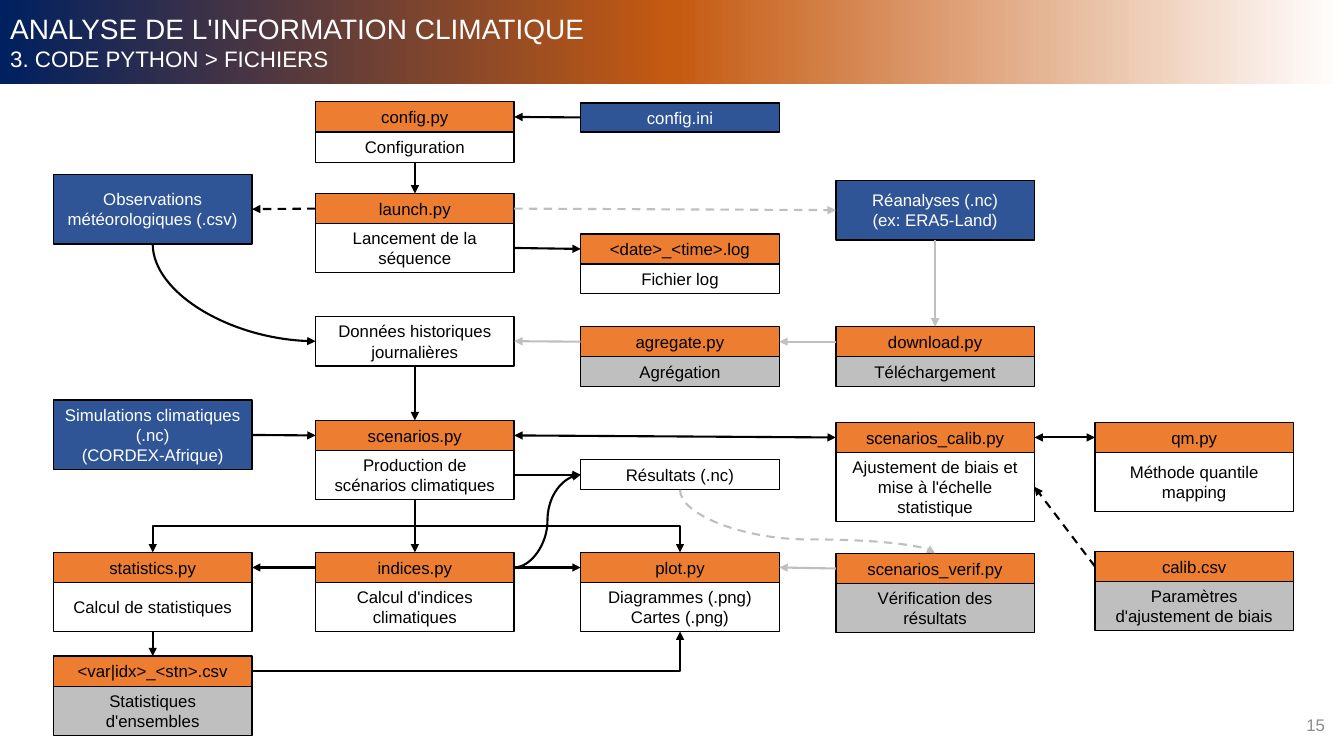
from copy import deepcopy
from dataclasses import dataclass
from typing import NamedTuple

from lxml.etree import SubElement
from pptx import Presentation
from pptx.dml.color import RGBColor
from pptx.enum.dml import MSO_LINE_DASH_STYLE as Dash
from pptx.enum.shapes import MSO_CONNECTOR as Connector, MSO_SHAPE as Shape
from pptx.enum.text import MSO_ANCHOR as Anchor, MSO_AUTO_SIZE as AutoSize, PP_ALIGN as Align
from pptx.oxml.ns import qn
from pptx.util import Inches, Pt


@dataclass(frozen=True)
class Theme:
    font: str = "Arial"
    title_size: int = 20
    subtitle_size: int = 16
    text_size: int = 12
    navy: str = "002060"
    rust: str = "C55A11"
    orange: str = "ED7D31"
    blue: str = "2F5597"
    grey: str = "BFBFBF"
    white: str = "FFFFFF"
    black: str = "000000"
    number: str = "8C8C8C"


THEME = Theme()

# Grid: rows of 0.1 inch, five columns of equal width (left edges in rows)
UNIT = Inches(0.1)
COLUMN_LEFTS = (5.3, 31.3, 57.6, 82.9, 108.6)
COLUMN_WIDTH = 19.7
HEADER_ROWS, HEADER_STEP = 3, 2.95
TOP, LEFT, BOTTOM, RIGHT = range(4)


def grid(rows: float) -> int:
    return round(rows * UNIT)


class Box(NamedTuple):
    key: str
    column: int
    top: float
    rows: float
    text: str
    fill: str = THEME.white


class FileBlock(NamedTuple):
    """A file name above the description of its role."""
    key: str
    column: int
    top: float
    file: str
    role: str
    rows: float = 4.9
    fill: str = THEME.white


class Link(NamedTuple):
    start: str
    start_side: int
    end: str
    end_side: int
    color: str = THEME.black
    width: float = 1.5
    dashed: bool = False
    both_ways: bool = False


class Route(NamedTuple):
    """A bent or curved link; it leaves vertically or horizontally."""
    link: Link
    preset: str
    vertical: bool = True
    bend: int = 50000


BOXES = (
    Box("ini", 2, 10.2, 2.9, "config.ini", THEME.blue),
    Box("observations", 0, 17.3, 6.9, "Observations météorologiques (.csv)", THEME.blue),
    Box("reanalyses", 3, 17.9, 5.9, "Réanalyses (.nc)\n(ex: ERA5-Land)", THEME.blue),
    Box("history", 1, 31.4, 4.9, "Données historiques journalières"),
    Box("simulations", 0, 39.7, 6.9, "Simulations climatiques (.nc)\n(CORDEX-Afrique)", THEME.blue),
    Box("results", 2, 45.6, 3, "Résultats (.nc)"),
)

BLOCKS = (
    FileBlock("config", 1, 10.1, "config.py", "Configuration", 3.1),
    FileBlock("launch", 1, 19.2, "launch.py", "Lancement de la séquence"),
    FileBlock("log", 2, 23.2, "<date>_<time>.log", "Fichier log", 3),
    FileBlock("aggregate", 2, 32.4, "agregate.py", "Agrégation", 3, THEME.grey),
    FileBlock("download", 3, 32.4, "download.py", "Téléchargement", 3, THEME.grey),
    FileBlock("scenarios", 1, 41.7, "scenarios.py", "Production de scénarios climatiques"),
    FileBlock("calibration", 3, 41.9, "scenarios_calib.py",
              "Ajustement de biais et mise à l'échelle statistique", 6.9),
    FileBlock("quantile", 4, 41.9, "qm.py", "Méthode quantile mapping", 5.9),
    FileBlock("statistics", 0, 54.8, "statistics.py", "Calcul de statistiques"),
    FileBlock("indices", 1, 54.8, "indices.py", "Calcul d'indices climatiques"),
    FileBlock("plot", 2, 54.8, "plot.py", "Diagrammes (.png)\nCartes (.png)"),
    FileBlock("check", 3, 54.9, "scenarios_verif.py", "Vérification des résultats", fill=THEME.grey),
    FileBlock("parameters", 4, 54.7, "calib.csv", "Paramètres d'ajustement de biais", fill=THEME.grey),
    FileBlock("ensembles", 0, 65.1, "<var|idx>_<stn>.csv", "Statistiques d'ensembles", fill=THEME.grey),
)

LINKS = (
    Link("ini", LEFT, "config", RIGHT),
    Link("config role", BOTTOM, "launch", TOP, width=1),
    Link("launch", LEFT, "observations", RIGHT, dashed=True),
    Link("launch", RIGHT, "reanalyses", LEFT, THEME.grey, dashed=True),
    Link("launch role", RIGHT, "log", LEFT),
    Link("reanalyses", BOTTOM, "download", TOP, THEME.grey, 1),
    Link("download", LEFT, "aggregate", RIGHT, THEME.grey),
    Link("aggregate", LEFT, "history", RIGHT, THEME.grey),
    Link("history", BOTTOM, "scenarios", TOP, width=1),
    Link("simulations", RIGHT, "scenarios", LEFT),
    Link("scenarios", RIGHT, "calibration", LEFT, both_ways=True),
    Link("calibration", RIGHT, "quantile", LEFT, both_ways=True),
    Link("parameters", LEFT, "calibration role", RIGHT, dashed=True),
    Link("scenarios role", RIGHT, "results", LEFT),
    Link("scenarios role", BOTTOM, "indices", TOP),
    Link("indices", LEFT, "statistics", RIGHT),
    Link("indices", RIGHT, "plot", LEFT),
    Link("check", LEFT, "plot", RIGHT, THEME.grey),
    Link("statistics role", BOTTOM, "ensembles", TOP),
)

ROUTES = (
    Route(Link("observations", BOTTOM, "history", LEFT), "curvedConnector2"),
    Route(Link("indices", RIGHT, "results", LEFT), "curvedConnector3", vertical=False),
    Route(Link("results", BOTTOM, "check", TOP, THEME.grey, dashed=True), "curvedConnector3", bend=78100),
    Route(Link("scenarios role", BOTTOM, "statistics", TOP), "bentConnector3"),
    Route(Link("scenarios role", BOTTOM, "plot", TOP), "bentConnector3"),
    Route(Link("ensembles", RIGHT, "plot role", BOTTOM), "bentConnector2", vertical=False),
)


def apply(target, values: dict) -> None:
    for name, value in values.items():
        setattr(target, name, value)


def write(shape, text: str, color: str, sizes: tuple, alignment) -> None:
    frame = shape.text_frame
    frame.text = text
    apply(frame, {"word_wrap": True, "auto_size": AutoSize.NONE, "vertical_anchor": Anchor.MIDDLE})
    for index, paragraph in enumerate(frame.paragraphs):
        paragraph.alignment = alignment
        size = sizes[min(index, len(sizes) - 1)]
        apply(paragraph.font, {"name": THEME.font, "size": Pt(size)})
        paragraph.font.color.rgb = RGBColor.from_string(color)


def draw_title(slide, width: int) -> None:
    title = slide.shapes.title
    apply(title, {"left": 0, "top": 0, "width": width, "height": grid(8.3)})
    title.fill.gradient()
    title.fill.gradient_angle = 0
    stop_list = title.element.spPr.find(".//" + qn("a:gsLst"))
    stop_list.append(deepcopy(stop_list[-1]))
    colors = (THEME.navy, THEME.rust, THEME.white)
    for index, (stop, color) in enumerate(zip(title.fill.gradient_stops, colors)):
        stop.position = index / 2
        stop.color.rgb = RGBColor.from_string(color)
    write(title, "ANALYSE DE L'INFORMATION CLIMATIQUE\n3. CODE PYTHON > FICHIERS",
          THEME.white, (THEME.title_size, THEME.subtitle_size), Align.LEFT)


def draw_box(slide, box: Box):
    shape = slide.shapes.add_shape(Shape.RECTANGLE, grid(COLUMN_LEFTS[box.column]), grid(box.top),
                                   grid(COLUMN_WIDTH), grid(box.rows))
    shape.shadow.inherit = False
    shape.fill.solid()
    shape.fill.fore_color.rgb = RGBColor.from_string(box.fill)
    shape.line.color.rgb = RGBColor.from_string(THEME.black)
    shape.line.width = Pt(1)
    color = THEME.white if box.fill == THEME.blue else THEME.black
    write(shape, box.text, color, (THEME.text_size,), Align.CENTER)
    return shape


def draw_link(slide, link: Link, shapes: dict):
    connector = slide.shapes.add_connector(Connector.STRAIGHT, 0, 0, 0, 0)
    connector.begin_connect(shapes[link.start], link.start_side)
    connector.end_connect(shapes[link.end], link.end_side)
    line = connector.line
    line.width = Pt(link.width)
    line.color.rgb = RGBColor.from_string(link.color)
    if link.dashed:
        line.dash_style = Dash.DASH
    properties = connector.element.spPr
    for end in ("headEnd", "tailEnd") if link.both_ways else ("tailEnd",):
        SubElement(properties.find(qn("a:ln")), qn(f"a:{end}"), type="triangle")
    SubElement(properties, qn("a:effectLst"))
    return connector


def draw_route(slide, route: Route, shapes: dict) -> None:
    connector = draw_link(slide, route.link, shapes)
    properties = connector.element.spPr
    geometry = properties.find(qn("a:prstGeom"))
    geometry.set("prst", route.preset)
    if route.preset.endswith("3"):
        SubElement(geometry.find(qn("a:avLst")), qn("a:gd"), name="adj1", fmla=f"val {route.bend}")
    if route.vertical:  # a quarter turn about the centre swaps the extents
        rightward = connector.end_x > connector.begin_x
        left, top, width, height = connector.left, connector.top, connector.width, connector.height
        apply(connector, {"left": left + (width - height) // 2, "top": top + (height - width) // 2,
                          "width": height, "height": width})
        frame = properties.find(qn("a:xfrm"))
        frame.attrib.clear()
        frame.set("rot", "16200000" if rightward else "5400000")
        if rightward:
            frame.set("flipH", "1")


def main() -> None:
    presentation = Presentation()
    apply(presentation, {"slide_width": Inches(13.33), "slide_height": Inches(7.5)})
    slide = presentation.slides.add_slide(presentation.slide_layouts[5])
    draw_title(slide, presentation.slide_width)

    # Boxes and file blocks
    shapes = {box.key: draw_box(slide, box) for box in BOXES}
    for key, column, top, file, role, rows, fill in BLOCKS:
        shapes[f"{key} role"] = draw_box(slide, Box(key, column, top + HEADER_STEP, rows, role, fill))
        shapes[key] = draw_box(slide, Box(key, column, top, HEADER_ROWS, file, THEME.orange))

    # Arrows
    for link in LINKS:
        draw_link(slide, link, shapes)
    for route in ROUTES:
        draw_route(slide, route, shapes)

    # Slide number
    number = slide.shapes.add_textbox(grid(102.4), grid(69.9), grid(30), grid(4))
    write(number, "15", THEME.number, (THEME.text_size,), Align.RIGHT)
    presentation.save("out.pptx")


if __name__ == "__main__":
    main()
